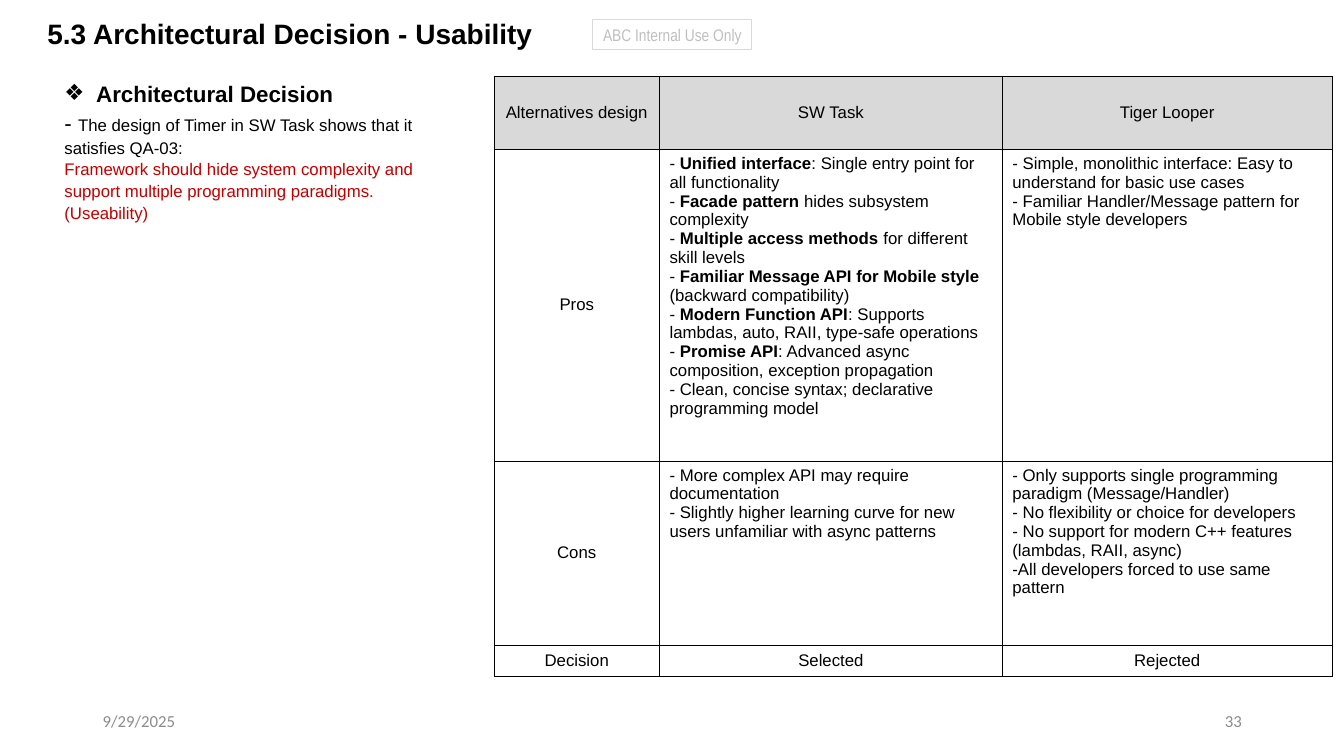
from dataclasses import dataclass
from typing import Any

from lxml import etree
from pptx import Presentation
from pptx.dml.color import RGBColor
from pptx.enum.shapes import MSO_SHAPE
from pptx.enum.text import MSO_ANCHOR, MSO_AUTO_SIZE, PP_ALIGN
from pptx.oxml.ns import qn
from pptx.util import Cm, Pt

BLACK = RGBColor(0x00, 0x00, 0x00)
RED = RGBColor(0xC0, 0x00, 0x00)
HEAD = RGBColor(0xD9, 0xD9, 0xD9)
GRAY = RGBColor(0x8C, 0x8C, 0x8C)
PALE = RGBColor(0xBF, 0xBF, 0xBF)
RECT = MSO_SHAPE.RECTANGLE
TOP, MIDDLE = MSO_ANCHOR.TOP, MSO_ANCHOR.MIDDLE
LEFT, CENTER, RIGHT = PP_ALIGN.LEFT, PP_ALIGN.CENTER, PP_ALIGN.RIGHT
FIXED = MSO_AUTO_SIZE.NONE

BASE = {"name": "Arial", "size": Pt(12), "bold": False}
BOLD = {**BASE, "bold": True}
FOOT = {**BASE, "name": "Calibri"}
TAG = {**BASE, "name": "Arial Narrow"}


@dataclass
class Box:
    left: float
    top: float
    width: float
    height: float

    def spot(self) -> tuple[int, int, int, int]:
        return Cm(self.left), Cm(self.top), Cm(self.width), Cm(self.height)


@dataclass
class Note:
    text: str
    box: Box
    align: PP_ALIGN


# Asterisks enclose bold words; each tuple entry is a paragraph
COLS = (4.17, 8.64, 8.31)
ROWS = (1.83, 7.85, 4.65, 0.79)
CELLS = (
    ("Alternatives design", "SW Task", "Tiger Looper"),
    ("Pros", (
        "- *Unified interface*: Single entry point for all functionality",
        "- *Facade pattern *hides subsystem complexity",
        "- *Multiple access methods *for different skill levels",
        "- *Familiar Message API for Mobile style *(backward compatibility)",
        "- *Modern Function API*: Supports lambdas, auto, RAII, type-safe operations",
        "- *Promise API*: Advanced async composition, exception propagation",
        "- Clean, concise syntax; declarative programming model",
    ), (
        "- Simple, monolithic interface: Easy to understand for basic use cases",
        "- Familiar Handler/Message pattern for Mobile style developers",
    )),
    ("Cons", (
        "- More complex API may require documentation",
        "- Slightly higher learning curve for new users unfamiliar with async patterns",
    ), (
        "- Only supports single programming paradigm (Message/Handler)",
        "- No flexibility or choice for developers",
        "- No support for modern C++ features (lambdas, RAII, async)",
        "-All developers forced to use same pattern",
    )),
    ("Decision", "Selected", "Rejected"),
)
NOTES = (
    Note("9/29/2025", Box(2.34, 17.65, 7.62, 1.02), LEFT),
    Note("33", Box(23.93, 17.65, 7.62, 1.02), RIGHT),
)


def add_run(para: Any, text: str, style: dict[str, Any], color: RGBColor = BLACK) -> None:
    run = para.add_run()
    run.text = text
    for key, value in style.items():
        setattr(run.font, key, value)
    run.font.color.rgb = color


def place(shape: Any, box: Box) -> None:
    for key, value in zip(("left", "top", "width", "height"), box.spot()):
        setattr(shape, key, value)


def set_frame(frame: Any, anchor: MSO_ANCHOR, wrap: bool = True) -> None:
    for key, value in {"word_wrap": wrap, "auto_size": FIXED,
                       "vertical_anchor": anchor}.items():
        setattr(frame, key, value)


def set_bullet(para: Any, char: str = "") -> None:
    props = para._p.get_or_add_pPr()
    indent = Cm(0.8) if char else 0
    props.set("marL", str(indent))
    props.set("indent", str(-indent))
    if char:
        etree.SubElement(props, qn("a:buChar")).set("char", char)
    else:
        etree.SubElement(props, qn("a:buNone"))


def add_title(slide: Any) -> None:
    title = slide.shapes.title
    place(title, Box(0.94, 0.28, 14.5, 1.12))
    set_frame(title.text_frame, TOP)
    para = title.text_frame.paragraphs[0]
    para.alignment = LEFT
    add_run(para, "5.3 Architectural Decision - Usability", {**BOLD, "size": Pt(20)})


def add_body(slide: Any) -> None:
    body = slide.placeholders[1]
    place(body, Box(1.37, 1.83, 10.77, 5.38))
    frame = body.text_frame
    set_frame(frame, TOP)
    head, text, last = frame.paragraphs[0], frame.add_paragraph(), frame.add_paragraph()
    for para, char in ((head, "❖"), (text, ""), (last, "")):
        set_bullet(para, char)
        para.space_before = Pt(0)
        para.line_spacing = 1.08
    add_run(head, "Architectural Decision", {**BOLD, "size": Pt(16)})
    add_run(text, "- ", {**BASE, "size": Pt(16)})
    add_run(text, "The design of Timer in SW Task shows that it satisfies QA-03:", BASE)
    text.add_line_break()
    add_run(text, "Framework should hide system complexity and support "
            "multiple programming paradigms.", BASE, RED)
    add_run(last, "(Useability)", BASE, RED)


def add_edges(cell: Any) -> None:
    props = cell._tc.get_or_add_tcPr()
    for spot, side in enumerate(("a:lnL", "a:lnR", "a:lnT", "a:lnB")):
        line = etree.Element(qn(side), w=str(Pt(0.25)))
        fill = etree.SubElement(line, qn("a:solidFill"))
        etree.SubElement(fill, qn("a:srgbClr"), val=str(BLACK))
        props.insert(spot, line)


def fill_cell(cell: Any, text: str | tuple[str, ...], shade: bool) -> None:
    if shade:
        cell.fill.solid()
        cell.fill.fore_color.rgb = HEAD
    else:
        cell.fill.background()
    add_edges(cell)
    short = isinstance(text, str)
    cell.vertical_anchor = MIDDLE if short else TOP
    frame = cell.text_frame
    for row, line in enumerate((text,) if short else text):
        para = frame.add_paragraph() if row else frame.paragraphs[0]
        para.alignment = CENTER if short else LEFT
        for part, words in enumerate(line.split("*")):
            add_run(para, words, BOLD if part % 2 else BASE)


def add_grid(slide: Any) -> None:
    box = Box(12.45, 1.93, sum(COLS), sum(ROWS))
    grid = slide.shapes.add_table(len(ROWS), len(COLS), *box.spot()).table
    for col, width in zip(grid.columns, COLS):
        col.width = Cm(width)
    for row, height in zip(grid.rows, ROWS):
        row.height = Cm(height)
    for r, line in enumerate(CELLS):
        for c, text in enumerate(line):
            fill_cell(grid.cell(r, c), text, r == 0)


def add_note(slide: Any, note: Note) -> None:
    frame = slide.shapes.add_textbox(*note.box.spot()).text_frame
    set_frame(frame, MIDDLE)
    frame.paragraphs[0].alignment = note.align
    add_run(frame.paragraphs[0], note.text, FOOT, GRAY)


def add_tag(slide: Any) -> None:
    tag = slide.shapes.add_shape(RECT, *Box(14.94, 0.49, 4.01, 0.77).spot())
    tag.shadow.inherit = False
    tag.fill.background()
    tag.line.color.rgb = HEAD
    tag.line.width = Pt(0.75)
    set_frame(tag.text_frame, MIDDLE, False)
    para = tag.text_frame.paragraphs[0]
    para.alignment = CENTER
    add_run(para, "ABC Internal Use Only", TAG, PALE)


def main() -> None:
    deck = Presentation()
    deck.slide_width, deck.slide_height = Cm(33.87), Cm(19.05)
    slide = deck.slides.add_slide(deck.slide_layouts[1])
    # Heading and reasoning
    add_title(slide)
    add_body(slide)
    # Comparison of alternatives
    add_grid(slide)
    # Footer and usage tag
    for note in NOTES:
        add_note(slide, note)
    add_tag(slide)
    deck.save("out.pptx")


if __name__ == "__main__":
    main()
